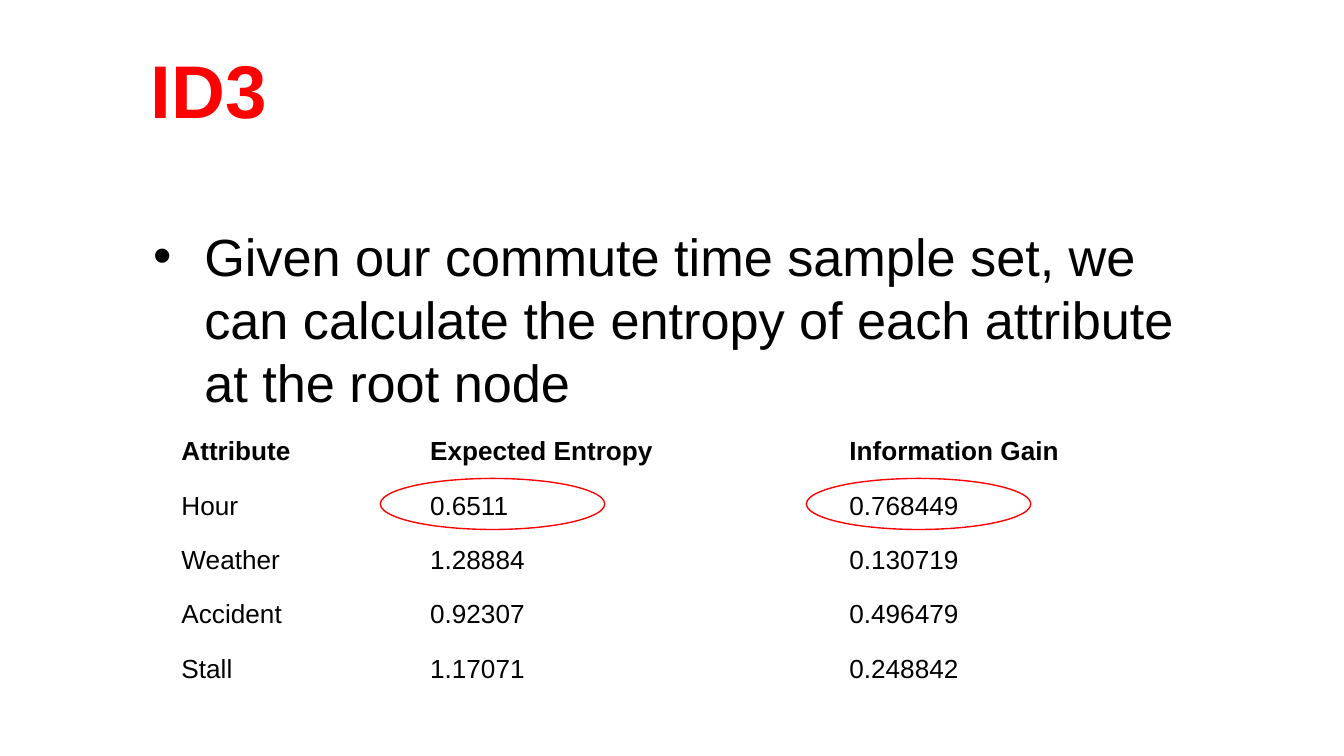
from pptx import Presentation
from pptx.dml.color import RGBColor
from pptx.enum.shapes import MSO_SHAPE
from pptx.enum.text import MSO_ANCHOR, MSO_AUTO_SIZE, PP_ALIGN
from pptx.oxml.ns import qn
from pptx.util import Inches, Pt

ELLIPSE = MSO_SHAPE.OVAL
MIDDLE, BOTTOM = MSO_ANCHOR.MIDDLE, MSO_ANCHOR.BOTTOM
NO_AUTOFIT = MSO_AUTO_SIZE.NONE
LEFT = PP_ALIGN.LEFT

RED, BLACK = "FF0000", "000000"
NO_STYLE_NO_GRID = "{2D5ABB26-0587-4C30-8999-92F81FD0307C}"
COLUMN_WIDTHS = (1.85, 3.12, 3.03)
TABLE_HEIGHT, HEADER_HEIGHT = 2.13, 0.51
ROWS = (
    ("Attribute", "Expected Entropy", "Information Gain"),
    ("Hour", "0.6511", "0.768449"),
    ("Weather", "1.28884", "0.130719"),
    ("Accident", "0.92307", "0.496479"),
    ("Stall", "1.17071", "0.248842"),
)


def rgb(value):
    return RGBColor.from_string(value)


def place(sp, left, top, width, height):
    sp.left, sp.top = Inches(left), Inches(top)
    sp.width, sp.height = Inches(width), Inches(height)


def format_paragraph(p, size, color=BLACK, bold=False, hanging=0):
    p.alignment = LEFT
    p.space_before = Pt(0)
    if hanging:
        pPr = p._p.get_or_add_pPr()
        pPr.set("marL", str(Inches(hanging)))
        pPr.set("indent", str(-Inches(hanging)))
    font = p.font
    font.name, font.size, font.bold = "Arial", Pt(size), bold
    font.color.rgb = rgb(color)


def fill_title(sp, text):
    place(sp, 1.02, 0.08, 7.83, 1.16)
    tf = sp.text_frame
    tf.text = text
    tf.auto_size = NO_AUTOFIT
    tf.vertical_anchor = MIDDLE
    format_paragraph(tf.paragraphs[0], 40, RED, bold=True)


def fill_body(sp, text):
    place(sp, 1.04, 1.62, 8.13, 1.19)
    tf = sp.text_frame
    tf.text = text
    tf.auto_size = NO_AUTOFIT
    format_paragraph(tf.paragraphs[0], 28, hanging=0.38)


def add_entropy_table(s):
    frame = s.shapes.add_table(
        len(ROWS), len(COLUMN_WIDTHS), Inches(1.25), Inches(3),
        Inches(sum(COLUMN_WIDTHS)), Inches(TABLE_HEIGHT))
    table = frame.table
    table.first_row = table.horz_banding = False
    table._tbl.tblPr.find(qn("a:tableStyleId")).text = NO_STYLE_NO_GRID
    for column, width in zip(table.columns, COLUMN_WIDTHS):
        column.width = Inches(width)
    body_height = (TABLE_HEIGHT - HEADER_HEIGHT) / (len(ROWS) - 1)
    for i, (row, texts) in enumerate(zip(table.rows, ROWS)):
        row.height = Inches(body_height if i else HEADER_HEIGHT)
        for cell, text in zip(row.cells, texts):
            cell.text = text
            cell.fill.background()
            cell.vertical_anchor = BOTTOM
            cell.margin_top = cell.margin_bottom = Inches(0.04)
            format_paragraph(cell.text_frame.paragraphs[0], 14,
                             bold=i == 0, hanging=0.49)


def add_highlight(s, left):
    sp = s.shapes.add_shape(ELLIPSE, Inches(left), Inches(3.56),
                            Inches(1.67), Inches(0.38))
    sp.shadow.inherit = False
    sp.fill.background()
    sp.line.color.rgb = rgb(RED)
    sp.line.width = Pt(0.75)


def main():
    prs = Presentation()
    prs.slide_width, prs.slide_height = Inches(10), Inches(10 * 9 / 16)
    s = prs.slides.add_slide(prs.slide_layouts[1])
    fill_title(s.shapes.title, "ID3")
    fill_body(s.placeholders[1],
              "Given our commute time sample set, we can calculate "
              "the entropy of each attribute at the root node")
    add_entropy_table(s)
    for left in (2.83, 6):
        add_highlight(s, left)
    prs.save("out.pptx")


if __name__ == "__main__":
    main()
